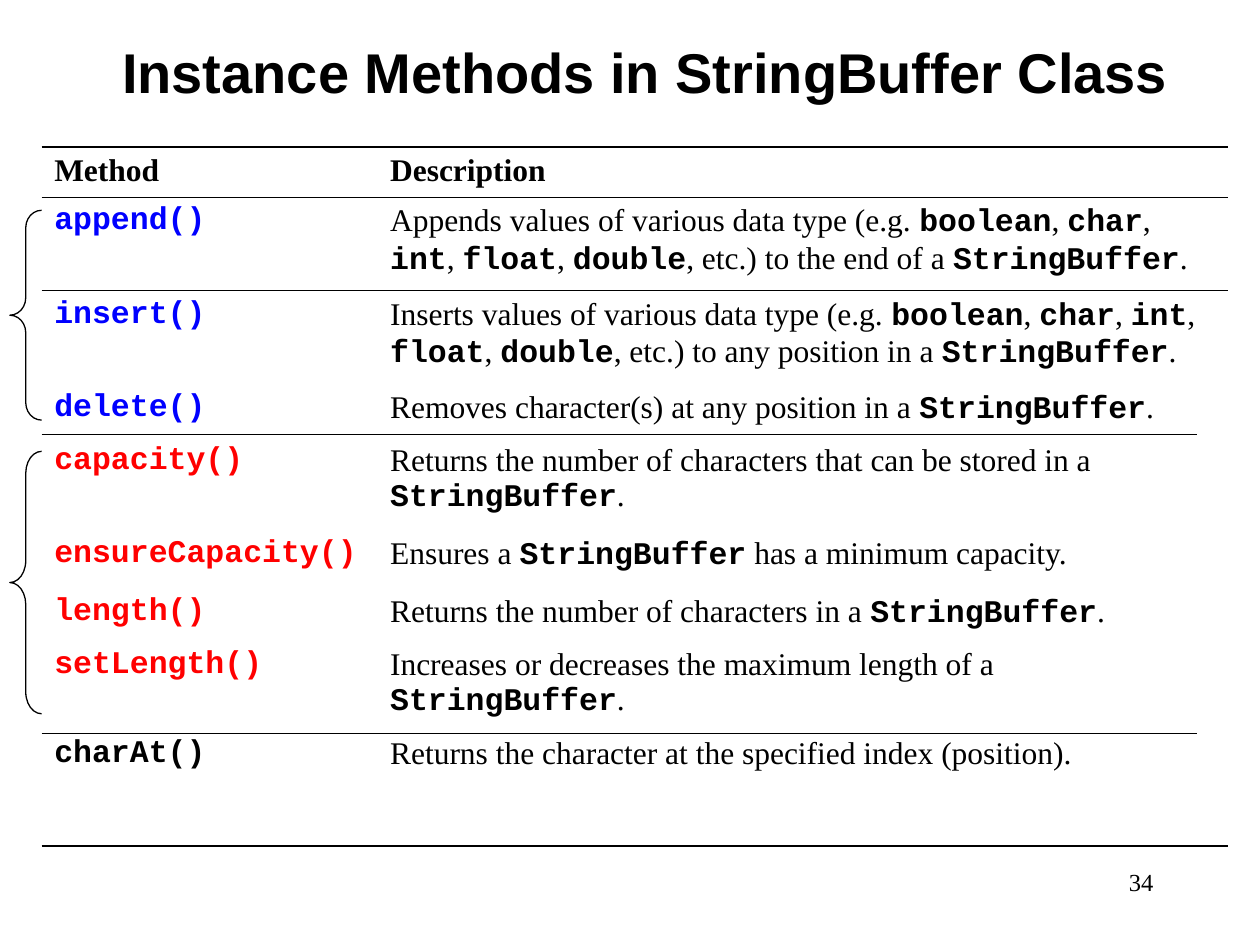
from dataclasses import dataclass

from lxml.etree import SubElement
from pptx import Presentation
from pptx.dml.color import RGBColor
from pptx.enum.shapes import MSO_CONNECTOR, MSO_SHAPE
from pptx.enum.text import PP_ALIGN
from pptx.oxml.ns import qn
from pptx.util import Cm, Pt


@dataclass(frozen=True)
class Theme:
    """Colours, fonts and sizes of the slide."""
    ink: str = "000000"
    editing: str = "0000FF"
    sizing: str = "FF0000"
    heading_font: str = "Arial"
    body_font: str = "Times New Roman"
    code_font: str = "Courier New"
    title_size: float = 32
    body_size: float = 18
    number_size: float = 14
    thin: float = 0.75
    border: float = 0.96


@dataclass(frozen=True)
class Box:
    """A region in centimetres."""
    left: float
    top: float
    width: float
    height: float

    def lengths(self):
        """Return the region as slide lengths."""
        return Cm(self.left), Cm(self.top), Cm(self.width), Cm(self.height)


THEME = Theme()
NO_TABLE_STYLE = "{2D5ABB26-0587-4C30-8999-92F81FD0307C}"
COLUMN_WIDTHS = (6.77, 17.15)
METHODS = [
    ("append()", THEME.editing, 1.88,
     "Appends values of various data type (e.g. `boolean`, `char`, `int`, `float`, "
     "`double`, etc.) to the end of a `StringBuffer`."),
    ("insert()", THEME.editing, 1.88,
     "Inserts values of various data type (e.g. `boolean`, `char`, `int`, `float`, "
     "`double`, etc.) to any position in a `StringBuffer`."),
    ("delete()", THEME.editing, 1.07,
     "Removes character(s) at any position in a `StringBuffer`."),
    ("capacity()", THEME.sizing, 1.88,
     "Returns the number of characters that can be stored in a `StringBuffer`."),
    ("ensureCapacity()", THEME.sizing, 1.17,
     "Ensures a `StringBuffer` has a minimum capacity."),
    ("length()", THEME.sizing, 1.07,
     "Returns the number of characters in a `StringBuffer`."),
    ("setLength()", THEME.sizing, 1.78,
     "Increases or decreases the maximum length of a `StringBuffer`."),
    ("charAt()", THEME.ink, 1.07,
     "Returns the character at the specified index (position)."),
]


def write(frame, text, font=THEME.body_font, size=THEME.body_size,
          color=THEME.ink, bold=False, align=PP_ALIGN.LEFT):
    """Write one paragraph, setting words between backticks as bold code."""
    frame.word_wrap = True
    para = frame.paragraphs[0]
    para.alignment = align
    for index, part in enumerate(text.split("`")):
        is_code = index % 2 == 1
        span = para.add_run()
        span.text = part
        span.font.name = THEME.code_font if is_code else font
        span.font.size = Pt(size)
        span.font.bold = bold or is_code
        span.font.color.rgb = RGBColor.from_string(color)


def add_text(page, box, text, **style):
    """Place a line of text in the box."""
    write(page.shapes.add_textbox(*box.lengths()).text_frame, text, **style)


def set_border(cell, *sides):
    """Draw the named borders of a cell, top before bottom."""
    for side in sides:
        line = SubElement(cell._tc.get_or_add_tcPr(), qn(f"a:{side}"),
                          w=str(int(Pt(THEME.border))))
        fill = SubElement(line, qn("a:solidFill"))
        SubElement(fill, qn("a:srgbClr"), val=THEME.ink)


def add_method_table(page, box):
    """Place the table of methods, with a closing empty row."""
    heights = [1.02, *(height for _, _, height, _ in METHODS), 1.27]
    table = page.shapes.add_table(len(heights), len(COLUMN_WIDTHS), *box.lengths()).table
    table.horz_banding = table.first_row = False
    table._tbl.tblPr.find(qn("a:tableStyleId")).text = NO_TABLE_STYLE
    for column, width in zip(table.columns, COLUMN_WIDTHS):
        column.width = Cm(width)
    for row, height in zip(table.rows, heights):
        row.height = Cm(height)

    for column, heading in enumerate(("Method", "Description")):
        write(table.cell(0, column).text_frame, heading, bold=True)
        set_border(table.cell(0, column), "lnT", "lnB")
        set_border(table.cell(1, column), "lnT")
        set_border(table.cell(len(heights) - 1, column), "lnB")
    for row, (method, color, _, description) in enumerate(METHODS, start=1):
        write(table.cell(row, 0).text_frame, method,
              font=THEME.code_font, color=color, bold=True)
        write(table.cell(row, 1).text_frame, description)
    for cell in table.iter_cells():
        cell.fill.background()


def draw_outline(shape):
    """Give a shape or connector the thin line."""
    shape.line.color.rgb = RGBColor.from_string(THEME.ink)
    shape.line.width = Pt(THEME.thin)


def add_brace(page, box):
    """Place a left brace whose curves are a twelfth of its height."""
    brace = page.shapes.add_shape(MSO_SHAPE.LEFT_BRACE, *box.lengths())
    brace.shadow.inherit = False
    brace.fill.background()
    brace.adjustments[0] = box.height / (12 * box.width)
    draw_outline(brace)


def add_rule(page, box):
    """Place a horizontal rule along the top of the box."""
    left, top, width, _ = box.lengths()
    rule = page.shapes.add_connector(MSO_CONNECTOR.STRAIGHT, left, top, left + width, top)
    SubElement(rule._element.spPr, qn("a:effectLst"))
    draw_outline(rule)


def build_page(page):
    """Place every region of the slide."""
    add_text(page, Box(18.21, 17.35, 5.29, 1.27), "34",
             size=THEME.number_size, align=PP_ALIGN.RIGHT)
    add_method_table(page, Box(0.84, 2.96, sum(COLUMN_WIDTHS), 14.09))
    add_text(page, Box(1.9, 0.64, 22.23, 1.62), "Instance Methods in StringBuffer Class",
             font=THEME.heading_font, size=THEME.title_size, bold=True,
             align=PP_ALIGN.CENTER)
    for top, height in ((9.1, 5.29), (4.24, 4.23)):
        add_brace(page, Box(0.2, top, 0.64, height))
    for top in (8.76, 14.79):
        add_rule(page, Box(0.84, top, 23.29, 0))


def main():
    """Build and save the deck."""
    deck = Presentation()
    deck.slide_width, deck.slide_height = Cm(25.4), Cm(19.05)
    build_page(deck.slides.add_slide(deck.slide_layouts[6]))
    deck.save("out.pptx")


if __name__ == "__main__":
    main()
